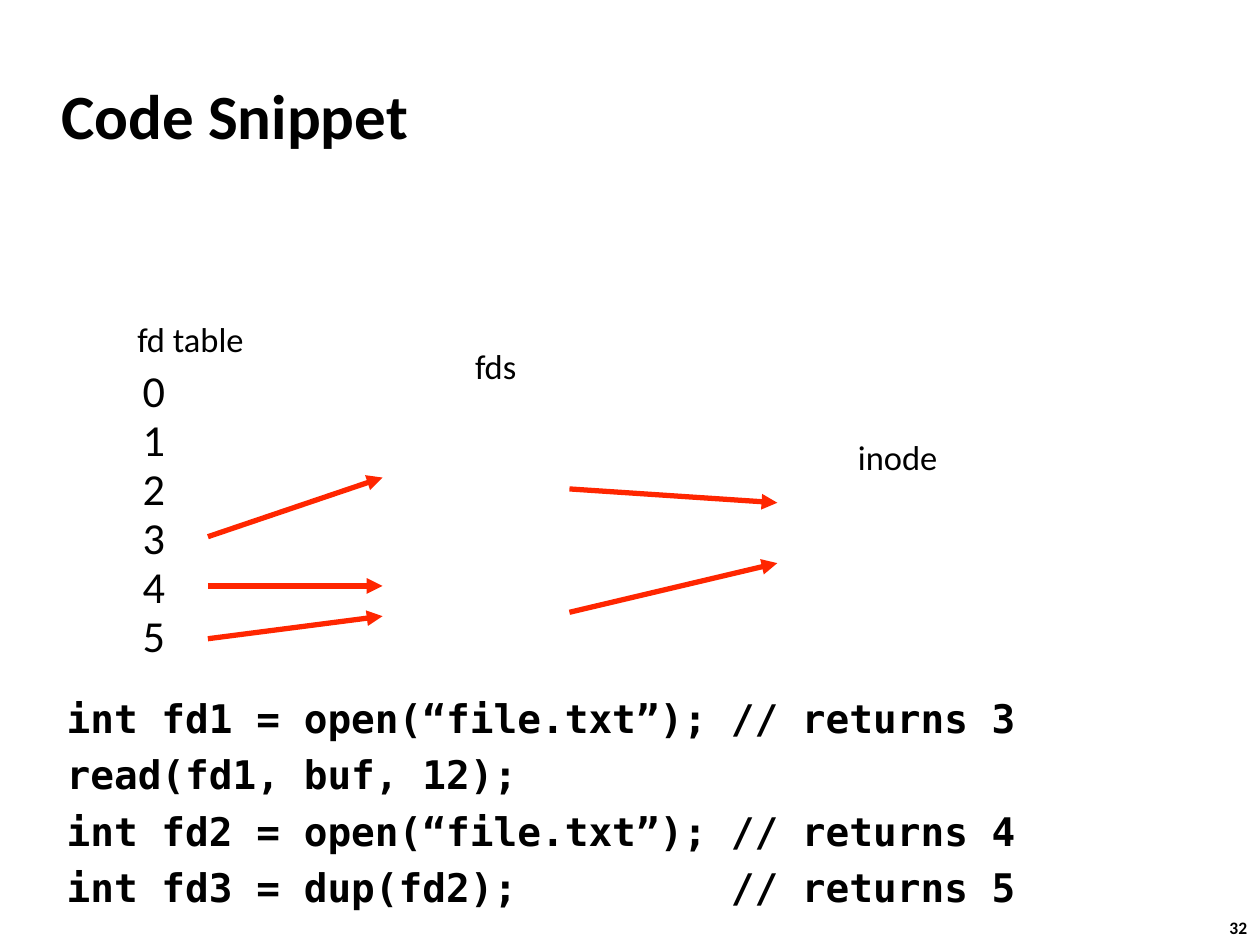
from lxml import etree
from pptx import Presentation
from pptx.dml.color import RGBColor
from pptx.enum.shapes import MSO_CONNECTOR, MSO_SHAPE
from pptx.enum.text import MSO_ANCHOR, PP_ALIGN
from pptx.oxml.ns import qn
from pptx.util import Pt

RECTANGLE = MSO_SHAPE.RECTANGLE
STRAIGHT = MSO_CONNECTOR.STRAIGHT
TOP, MIDDLE = MSO_ANCHOR.TOP, MSO_ANCHOR.MIDDLE
LEFT, RIGHT = PP_ALIGN.LEFT, PP_ALIGN.RIGHT

BODY_FONT = "Calibri"
CODE_FONT = "DejaVu Sans Mono"
BLACK, WHITE, RED = "000000", "FFFFFF", "FF2600"

CODE = """int fd1 = open(“file.txt”); // returns 3
read(fd1, buf, 12);
int fd2 = open(“file.txt”); // returns 4
int fd3 = dup(fd2);         // returns 5"""


def color(value):
    return RGBColor.from_string(value)


class SlideBuilder:
    def __init__(self, slide):
        self.slide = slide

    def text(self, content, left, top, width, height, size, font=BODY_FONT,
             bold=False, wrap=False, anchor=TOP, align=LEFT, inset=None, gap=0):
        shape = self.slide.shapes.add_textbox(
            Pt(left), Pt(top), Pt(width), Pt(height))
        frame = shape.text_frame
        frame.word_wrap = wrap
        frame.vertical_anchor = anchor
        if inset is not None:
            frame.margin_left = frame.margin_right = Pt(inset)
            frame.margin_top = frame.margin_bottom = Pt(inset)
        frame.text = content
        for index, paragraph in enumerate(frame.paragraphs):
            paragraph.alignment = align
            paragraph.space_before = Pt(gap if index else 0)
            for run in paragraph.runs:
                run.font.name = font
                run.font.size = Pt(size)
                run.font.bold = bold
                run.font.color.rgb = color(BLACK)

    def label(self, content, left, top, width, height=29.5, size=19.7, align=LEFT):
        self.text(content, left, top, width, height, size,
                  anchor=MIDDLE, align=align, inset=2.9)

    def box(self, left, top, width, height):
        shape = self.slide.shapes.add_shape(
            RECTANGLE, Pt(left), Pt(top), Pt(width), Pt(height))
        shape.shadow.inherit = False
        shape.fill.background()
        shape.line.color.rgb = color(WHITE)
        shape.line.width = Pt(2)

    def arrow(self, start_x, start_y, end_x, end_y):
        connector = self.slide.shapes.add_connector(
            STRAIGHT, Pt(start_x), Pt(start_y), Pt(end_x), Pt(end_y))
        connector.line.color.rgb = color(RED)
        connector.line.width = Pt(3)
        line = connector.line._get_or_add_ln()
        etree.SubElement(line, qn("a:tailEnd"), type="triangle")
        etree.SubElement(connector._element.spPr, qn("a:effectLst"))


def main():
    presentation = Presentation()
    presentation.slide_width = Pt(720)
    presentation.slide_height = Pt(540)
    slide = presentation.slides.add_slide(presentation.slide_layouts[6])
    builder = SlideBuilder(slide)

    builder.text("32", 695.5, 520.5, 26.6, 19.4, 10, bold=True)
    builder.text("Code Snippet", 28, 35.3, 597.6, 59.8, 36,
                 bold=True, wrap=True, anchor=MIDDLE)
    builder.text(CODE, 31, 393.1, 615, 144, 22.5, font=CODE_FONT,
                 bold=True, wrap=True, gap=5.25)

    for number in range(6):
        offset = number * 28.1
        builder.box(101.5, 208.8 + offset, 30.2, 27.4)
        builder.label(str(number), 78.5, 204.5 + offset, 18.7, 36, 25.3, RIGHT)

    for top in (231.1, 305.3):
        builder.box(220.3, top, 126, 59)
    builder.label("fds", 268.6, 194.4, 30.2)
    builder.label("fd table", 75.6, 178.6, 67)
    builder.box(445.7, 277.2, 136.8, 59)
    builder.label("inode", 487.4, 246.2, 51.8)

    for start_y, end_y in ((279.4, 287.3), (349.9, 321.8)):
        builder.arrow(325.4, start_y, 444.2, end_y)
    for start_y, end_y in ((365, 352.1), (334.8, 334.8), (306.7, 272.9)):
        builder.arrow(118.8, start_y, 218.6, end_y)

    presentation.save("out.pptx")


if __name__ == "__main__":
    main()
